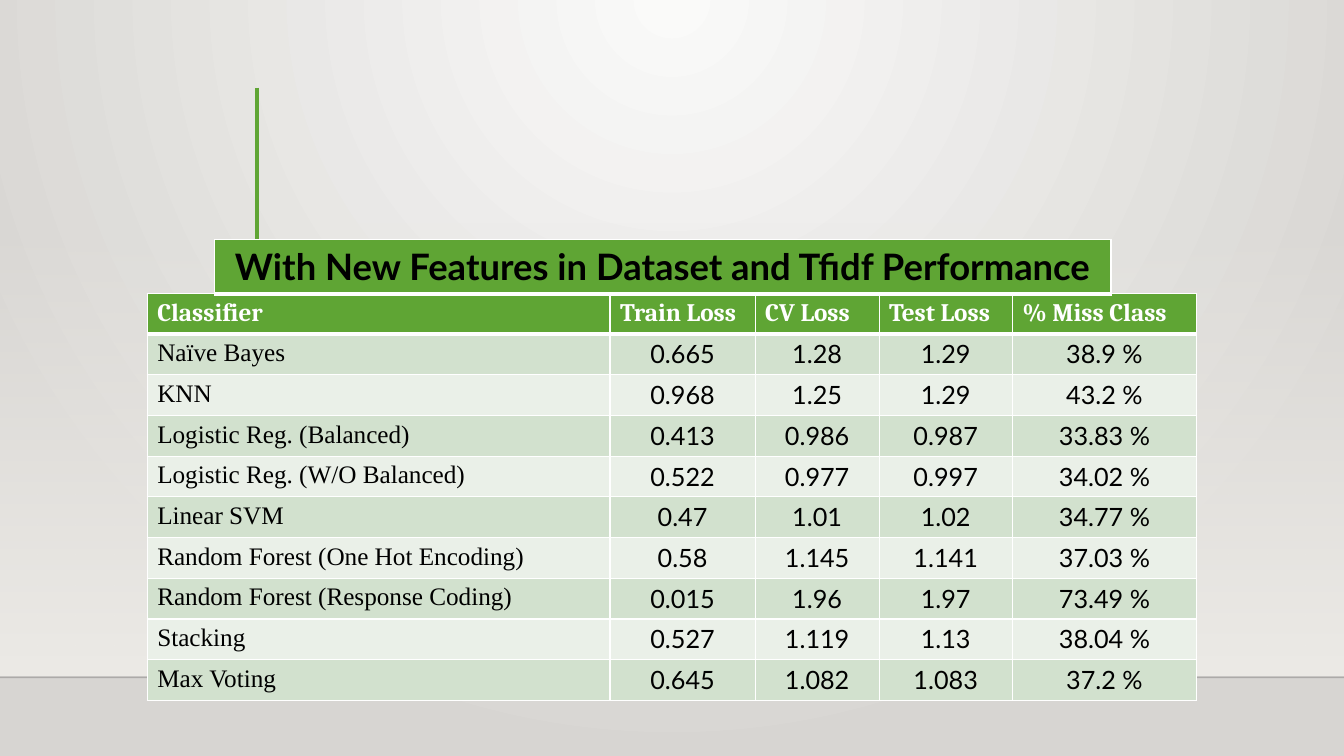
from lxml.etree import SubElement
from pptx import Presentation
from pptx.dml.color import RGBColor as Rgb
from pptx.enum.shapes import MSO_CONNECTOR as Conn, MSO_SHAPE as Shape
from pptx.enum.text import PP_ALIGN as Align
from pptx.oxml import parse_xml
from pptx.oxml.ns import nsdecls, qn
from pptx.util import Inches, Pt

COLORS = {
    "green": "5FA534", "dark": "D2E1CE", "pale": "EAF0E8",
    "white": "FFFFFF", "black": "000000", "rule": "000001",
    "glow": "FAFAF9", "edge": "D7D5D2", "floor": "EDEBE7",
}
WIDE, HIGH = 13.33, 7.5
HEADS = ["Classifier", "Train Loss", "CV Loss", "Test Loss", "% Miss Class"]
SCORES = [
    ["Naïve Bayes", "0.665", "1.28", "1.29", "38.9 %"],
    ["KNN", "0.968", "1.25", "1.29", "43.2 %"],
    ["Logistic Reg. (Balanced)", "0.413", "0.986", "0.987", "33.83 %"],
    ["Logistic Reg. (W/O Balanced)", "0.522", "0.977", "0.997", "34.02 %"],
    ["Linear SVM", "0.47", "1.01", "1.02", "34.77 %"],
    ["Random Forest (One Hot Encoding)", "0.58", "1.145", "1.141", "37.03 %"],
    ["Random Forest (Response Coding)", "0.015", "1.96", "1.97", "73.49 %"],
    ["Stacking", "0.527", "1.119", "1.13", "38.04 %"],
    ["Max Voting", "0.645", "1.082", "1.083", "37.2 %"],
]


def color(name):
    return Rgb.from_string(COLORS[name])


def put_text(frame, text, font="Lato", size=18, ink="black", bold=False,
             align=Align.LEFT):
    para = frame.paragraphs[0]
    para.alignment = align
    run = para.add_run()
    run.text = text
    run.font.name = font
    run.font.size = Pt(size)
    run.font.bold = bold
    run.font.color.rgb = color(ink)


def set_alpha(node, share):
    SubElement(node, qn("a:alpha")).set("val", str(share * 1000))


def blend(fill, first, last):
    fill.gradient()
    for stop, name in zip(fill.gradient_stops, (first, last)):
        stop.color.rgb = color(name)


def add_back(slide):
    blend(slide.background.fill, "glow", "edge")
    grad = next(slide.element.iter(qn("a:gradFill")))
    grad.remove(grad.find(qn("a:lin")))
    grad.append(parse_xml(
        f'<a:path {nsdecls("a")} path="circle">'
        '<a:fillToRect l="43000" t="0" r="43000" b="100000"/></a:path>'))


def add_haze(slide, top, high):
    haze = slide.shapes.add_shape(
        Shape.RECTANGLE, 0, Inches(top), Inches(WIDE), Inches(high))
    haze.shadow.inherit = False
    haze.line.fill.background()
    blend(haze.fill, "floor", "floor")
    haze.fill.gradient_angle = 270
    set_alpha(next(haze.element.iter(qn("a:srgbClr"))), 0)


def add_line(slide, start, end, ink, width, alpha=100):
    line = slide.shapes.add_connector(
        Conn.STRAIGHT, *(Inches(n) for n in start + end))
    line.line.color.rgb = color(ink)
    line.line.width = Pt(width)
    if alpha < 100:
        set_alpha(next(line.element.iter(qn("a:srgbClr"))), alpha)
    SubElement(line.element.spPr, qn("a:effectLst"))


def set_edges(cell, **widths):
    props = cell._tc.get_or_add_tcPr()
    for spot, side in enumerate("LRTB"):
        width = Pt(widths.get(side, 1))
        props.insert(spot, parse_xml(
            f'<a:ln{side} {nsdecls("a")} w="{width}"><a:solidFill>'
            f'<a:srgbClr val="{COLORS["white"]}"/></a:solidFill></a:ln{side}>'))


def add_grid(slide, left, top, widths, rows, high):
    grid = slide.shapes.add_table(
        rows, len(widths), Inches(left), Inches(top),
        Inches(sum(widths)), Inches(high)).table
    grid.first_row = grid.horz_banding = False
    for col, width in zip(grid.columns, widths):
        col.width = Inches(width)
    return grid


def fill_cell(cell, text, back, edges, **style):
    cell.fill.solid()
    cell.fill.fore_color.rgb = color(back)
    set_edges(cell, **edges)
    put_text(cell.text_frame, text, **style)


def add_scores(slide):
    widths = [4.59, 1.44, 1.23, 1.32, 1.83]
    grid = add_grid(slide, 1.46, 2.91, widths, len(SCORES) + 1, 4.04)
    for col, text in enumerate(HEADS):
        fill_cell(grid.cell(0, col), text, "green", {"B": 3},
                  font="Cambria", ink="white", bold=True)
    for row, values in enumerate(SCORES, 1):
        back = "dark" if row % 2 else "pale"
        edges = {"T": 3} if row == 1 else {}
        for col, text in enumerate(values):
            style = ({"align": Align.CENTER} if col
                     else {"font": "Times New Roman"})
            fill_cell(grid.cell(row, col), text, back, edges, **style)


def add_title(slide):
    grid = add_grid(slide, 2.13, 2.38, [8.89], 1, 0.53)
    fill_cell(grid.cell(0, 0),
              "With New Features in Dataset and Tfidf Performance",
              "green", {"B": 3}, size=26, bold=True, align=Align.CENTER)


def main():
    deck = Presentation()
    deck.slide_width, deck.slide_height = Inches(WIDE), Inches(HIGH)
    slide = deck.slides.add_slide(deck.slide_layouts[6])
    add_back(slide)
    add_haze(slide, 2.2, 4.5)
    add_line(slide, (0, 6.72), (WIDE, 6.72), "rule", 1, alpha=20)
    add_line(slide, (2.55, 0.87), (2.55, 3.66), "green", 3)
    add_scores(slide)
    add_title(slide)
    deck.save("out.pptx")


main()
